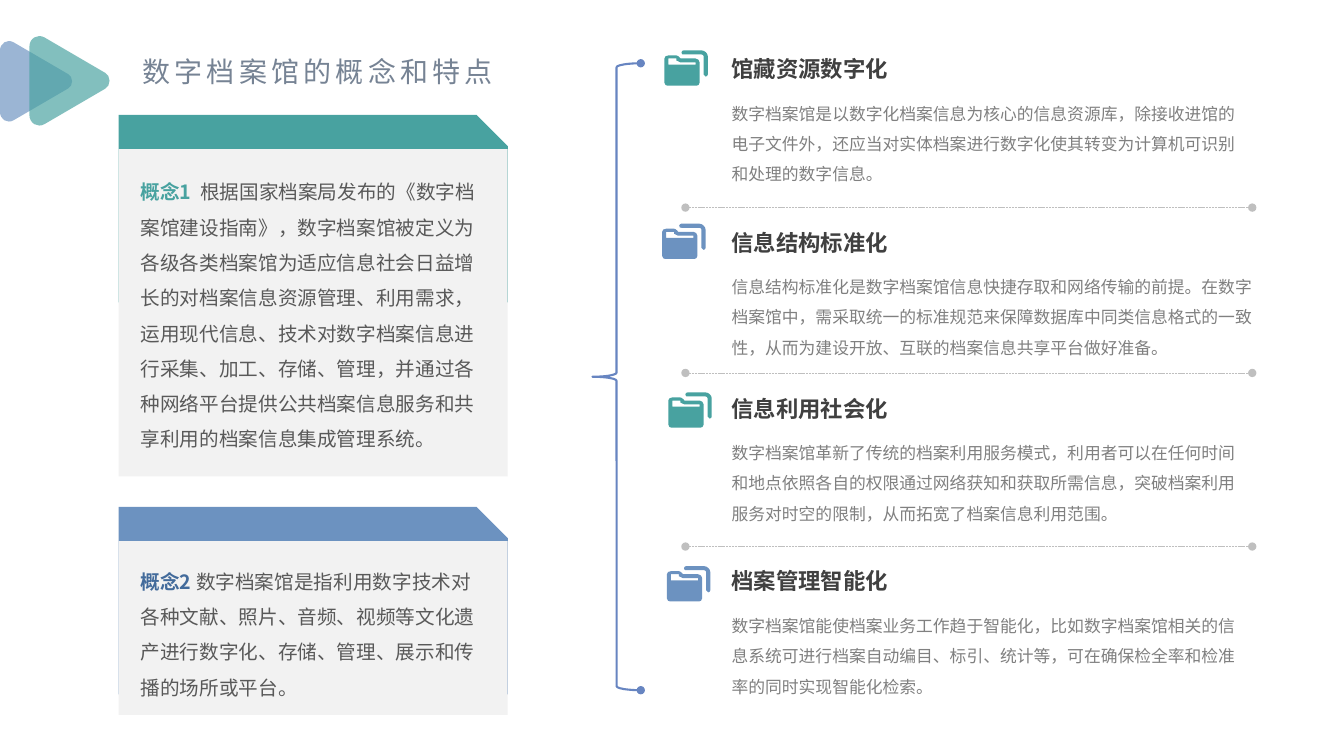
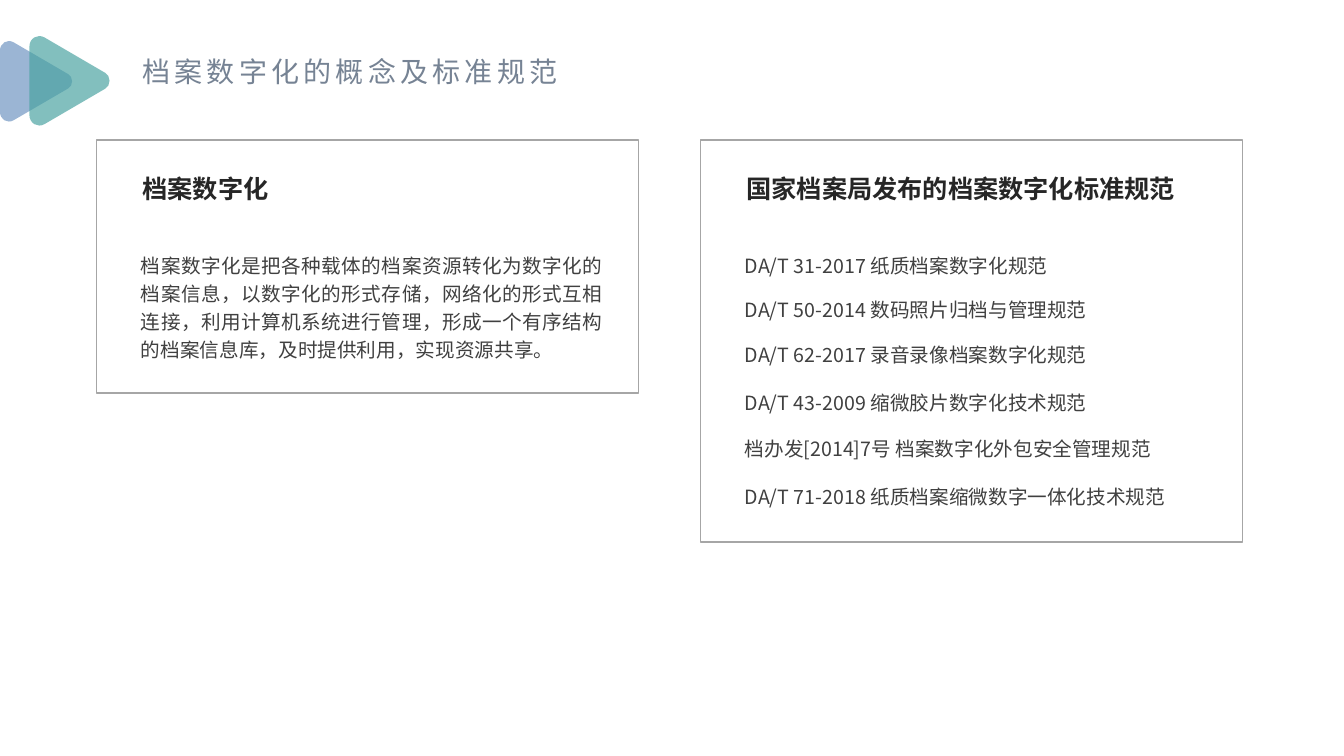
from lxml import etree
from pptx import Presentation
from pptx.dml.color import RGBColor
from pptx.enum.dml import MSO_LINE
from pptx.enum.shapes import MSO_CONNECTOR, MSO_SHAPE
from pptx.enum.text import MSO_ANCHOR, PP_ALIGN
from pptx.oxml.ns import qn
from pptx.util import Pt

RECT = MSO_SHAPE.RECTANGLE
SNIP = MSO_SHAPE.SNIP_1_RECTANGLE
BRACE = MSO_SHAPE.LEFT_BRACE
LINE = MSO_CONNECTOR.STRAIGHT
DASH = MSO_LINE.SQUARE_DOT
LEFT = PP_ALIGN.LEFT
FULL = PP_ALIGN.JUSTIFY
TOP = MSO_ANCHOR.TOP

FONT = "Noto Sans CJK SC"
TEAL = RGBColor(0x48, 0xA2, 0xA0)
BLUE = RGBColor(0x6C, 0x92, 0xC0)
NAVY = RGBColor(0x43, 0x6B, 0x9B)
VIOLET = RGBColor(0x67, 0x85, 0xC1)
SLATE = RGBColor(0x76, 0x83, 0x94)
INK = RGBColor(0x26, 0x26, 0x26)
DARK = RGBColor(0x40, 0x40, 0x40)
MID = RGBColor(0x59, 0x59, 0x59)
GRAY = RGBColor(0x80, 0x80, 0x80)
EDGE = RGBColor(0xA6, 0xA6, 0xA6)
RULE = RGBColor(0xBF, 0xBF, 0xBF)
PALE = RGBColor(0xF2, 0xF2, 0xF2)

ARROW = [
    [(54, 28.1), (10.8, 2.9), (5.8, 0, 0, 3.6, 0, 9.4), (0, 58.3),
     (0, 64.1, 5.8, 67.7, 10.8, 64.8), (54, 39.6),
     (58.3, 37.4, 58.3, 30.3, 54, 28.1)],
]
FOLDER = [
    [(2.9, 5.8), (2.9, 10.1), (22.3, 10.1), (22.3, 8.6), (11.5, 8.6),
     (10.1, 8.6, 9.4, 7.9, 8.6, 7.2), (8.6, 5.8)],
    [(2.9, 3.6), (8.6, 3.6), (9.4, 3.6, 10.1, 4.3, 10.8, 5), (11.5, 5.8),
     (22.3, 5.8), (23.8, 5.8, 25.2, 7.2, 25.2, 8.6), (25.2, 23),
     (25.2, 24.5, 23.8, 25.2, 23, 25.2), (2.2, 25.2),
     (1.4, 25.2, 0, 24.5, 0, 23), (0, 5.8), (0, 4.3, 1.4, 3.6, 2.9, 3.6)],
    [(13.7, 0), (26.6, 0), (28.8, 0, 31, 2.2, 31, 4.3), (31, 17.3),
     (31, 18, 30.2, 18.7, 29.5, 18.7), (28.8, 18.7, 28.1, 18, 28.1, 17.3),
     (28.1, 4.3), (28.1, 3.6, 27.4, 2.9, 26.6, 2.9), (13.7, 2.9),
     (13, 2.9, 12.2, 2.9, 12.2, 1.4), (12.2, 0.7, 13, 0, 13.7, 0)],
]

CARDS = [
    (82, 233.8, 10.4, TEAL, TEAL, 3, "概念1",
     "根据国家档案局发布的《数字档案馆建设指南》，数字档案馆被定义为各级各类档案馆为适应信息社会日益增长的对档案信息资源管理、利用需求，运用现代信息、技术对数字档案信息进行采集、加工、存储、管理，并通过各种网络平台提供公共档案信息服务和共享利用的档案信息集成管理系统。"),
    (362, 124.2, 8.5, BLUE, NAVY, 0, "概念2",
     "数字档案馆是指利用数字技术对各种文献、照片、音频、视频等文化遗产进行数字化、存储、管理、展示和传播的场所或平台。"),
]
TRAITS = [
    (36, 474.6, 36, 379.4, TEAL, "馆藏资源数字化",
     "数字档案馆是以数字化档案信息为核心的信息资源库，除接收进馆的电子文件外，还应当对实体档案进行数字化使其转变为计算机可识别和处理的数字信息。"),
    (159.8, 473, 159.8, 388, BLUE, "信息结构标准化",
     "信息结构标准化是数字档案馆信息快捷存取和网络传输的前提。在数字档案馆中，需采取统一的标准规范来保障数据库中同类信息格式的一致性，从而为建设开放、互联的档案信息共享平台做好准备。"),
    (278.4, 477.4, 280.3, 379.4, TEAL, "信息利用社会化",
     "数字档案馆革新了传统的档案利用服务模式，利用者可以在任何时间和地点依照各自的权限通过网络获知和获取所需信息，突破档案利用服务对时空的限制，从而拓宽了档案信息利用范围。"),
    (401.9, 476.4, 404.4, 379.4, BLUE, "档案管理智能化",
     "数字档案馆能使档案业务工作趋于智能化，比如数字档案馆相关的信息系统可进行档案自动编目、标引、统计等，可在确保检全率和检准率的同时实现智能化检索。"),
]
PANELS = [
    (69.1, 180.6, "档案数字化", [
        (0, "档案数字化是把各种载体的档案资源转化为数字化的档案信息，以数字化的形式存储，网络化的形式互相连接，利用计算机系统进行管理，形成一个有序结构的档案信息库，及时提供利用，实现资源共享。")]),
    (500.4, 287, "国家档案局发布的档案数字化标准规范", [
        (0, "DA/T 31-2017 纸质档案数字化规范"),
        (31.7, "DA/T 50-2014 数码照片归档与管理规范"),
        (64, "DA/T 62-2017 录音录像档案数字化规范"),
        (97.9, "DA/T 43-2009 缩微胶片数字化技术规范"),
        (131, "档办发[2014]7号 档案数字化外包安全管理规范"),
        (165.4, "DA/T 71-2018 纸质档案缩微数字一体化技术规范")]),
]


def add_run(para, words, size=14, color=MID, bold=False, space=0):
    run = para.add_run()
    run.text = words
    run.font.size = Pt(size)
    run.font.bold = bold
    run.font.color.rgb = color
    run.font.name = FONT
    props = run._r.get_or_add_rPr()
    etree.SubElement(props, qn("a:ea")).set("typeface", FONT)
    if space:
        props.set("spc", str(space * 100))


def add_text(slide, box, words="", lead=1, align=LEFT, **style):
    shape = slide.shapes.add_textbox(*map(Pt, box))
    frame = shape.text_frame
    frame.word_wrap = True
    para = frame.paragraphs[0]
    para.line_spacing = lead
    para.alignment = align
    if words:
        add_run(para, words, **style)
    return para


def paint(shape, fill=None, line=None, width=1):
    shape.shadow.inherit = False
    if fill is None:
        shape.fill.background()
    else:
        shape.fill.solid()
        shape.fill.fore_color.rgb = fill
    if line is None:
        shape.line.fill.background()
    else:
        shape.line.color.rgb = line
        shape.line.width = Pt(width)


def add_box(slide, kind, box, fill=None, line=None, width=1):
    shape = slide.shapes.add_shape(kind, *map(Pt, box))
    paint(shape, fill, line, width)
    return shape


def add_dots(shape):
    ln = shape.line._get_or_add_ln()
    for tag in ("a:headEnd", "a:tailEnd"):
        etree.SubElement(ln, qn(tag)).set("type", "oval")


def bend(shape, paths):
    lines = iter(list(shape._element.iter(qn("a:lnTo"))))
    for path in paths:
        for seg in path[1:]:
            first = next(lines)
            if len(seg) == 6:
                first.tag = qn("a:cubicBezTo")
                for _ in range(2):
                    other = next(lines)
                    first.append(other[0])
                    other.getparent().remove(other)


def curve(shape, paths):
    geom = shape._element.spPr.find(qn("a:custGeom"))
    for outline in geom.iter(qn("a:path")):
        lines = iter(outline.findall(qn("a:lnTo")))
        for seg in (s for path in paths for s in path[1:]):
            first = next(lines)
            if len(seg) == 2:
                continue
            arc = etree.Element(qn("a:cubicBezTo"))
            first.addprevious(arc)
            for line in (first, next(lines), next(lines)):
                arc.append(line[0])
                outline.remove(line)


def add_form(slide, paths, left, top, color, scale=1, alpha=None):
    form = None
    for path in paths:
        points = [(Pt(left + seg[i] * scale), Pt(top + seg[i + 1] * scale))
                  for seg in path for i in range(0, len(seg), 2)]
        if form is None:
            form = slide.shapes.build_freeform(*points[0])
        else:
            form.move_to(*points[0])
        form.add_line_segments(points[1:], close=True)
    shape = form.convert_to_shape()
    curve(shape, paths)
    paint(shape, color)
    if alpha:
        tint = shape._element.spPr.find(".//" + qn("a:srgbClr"))
        etree.SubElement(tint, qn("a:alpha")).set("val", str(alpha * 1000))


def add_page(deck, words):
    slide = deck.slides.add_slide(deck.slide_layouts[5])
    title = slide.shapes.title
    wide = len(words) * 23 + 17
    title.left, title.top, title.width, title.height = map(
        Pt, (94.6, 35.3, wide, 31.7))
    frame = title.text_frame
    frame.word_wrap = False
    frame.vertical_anchor = TOP
    para = frame.paragraphs[0]
    para.alignment = LEFT
    add_run(para, words, size=20, color=SLATE, space=3)
    add_form(slide, ARROW, 0, 27.6, BLUE, scale=0.9, alpha=68)
    add_form(slide, ARROW, 21, 23.9, TEAL, alpha=68)
    return slide


def add_card(slide, left, top, high, pad, fill, tone, gap, label, words):
    add_box(slide, SNIP, (left, top, 278, 134), fill)
    top += 24.5
    add_box(slide, RECT, (left, top, 278, high), PALE)
    para = add_text(slide, (left + 8.7, top + pad, 254.9, high - 2 * pad),
                    lead=1.5)
    add_run(para, label, color=tone, bold=True)
    add_run(para, " ", color=tone, bold=True, space=gap)
    add_run(para, words)


def add_trait(slide, left, top, x, y, wide, fill, head, words):
    add_form(slide, FOLDER, x, y, fill)
    add_text(slide, (left, top, 325, 26.6), head,
             size=16, color=DARK, bold=True)
    add_text(slide, (left, top + 27.2, wide, 70), words,
             lead=1.5, size=12, color=GRAY)


def add_rule(slide, left, right, y):
    line = slide.shapes.add_connector(LINE, *map(Pt, (left, y, right, y)))
    line.line.color.rgb = RULE
    line.line.width = Pt(0.5)
    line.line.dash_style = DASH
    add_dots(line)
    etree.SubElement(line._element.spPr, qn("a:effectLst"))


def add_panel(slide, left, top, high, head, items):
    add_box(slide, RECT, (left, top, 387, high), line=EDGE)
    add_text(slide, (left + 25.7, top + 15.8, 344, 32), head,
             lead=1.2, align=FULL, size=18, color=INK, bold=True)
    for drop, words in items:
        add_text(slide, (left + 24.5, top + 74.2 + drop, 343.8, 26), words,
                 lead=1.2, align=FULL, color=DARK)


def main():
    deck = Presentation()
    deck.slide_width, deck.slide_height = Pt(960), Pt(540)

    slide = add_page(deck, "数字档案馆的概念和特点")
    for card in CARDS:
        add_card(slide, 84.7, *card)
    brace = add_box(slide, BRACE, (423.1, 45.2, 34.6, 447.8),
                    line=VIOLET, width=1.5)
    add_dots(brace)
    for trait in TRAITS:
        add_trait(slide, 515.5, *trait)
    for y in (148.3, 266.4, 390.4):
        add_rule(slide, 489.6, 894.5, y)

    slide = add_page(deck, "档案数字化的概念及标准规范")
    for left, high, head, items in PANELS:
        add_panel(slide, left, 100.1, high, head, items)

    deck.save("out.pptx")


if __name__ == "__main__":
    main()
